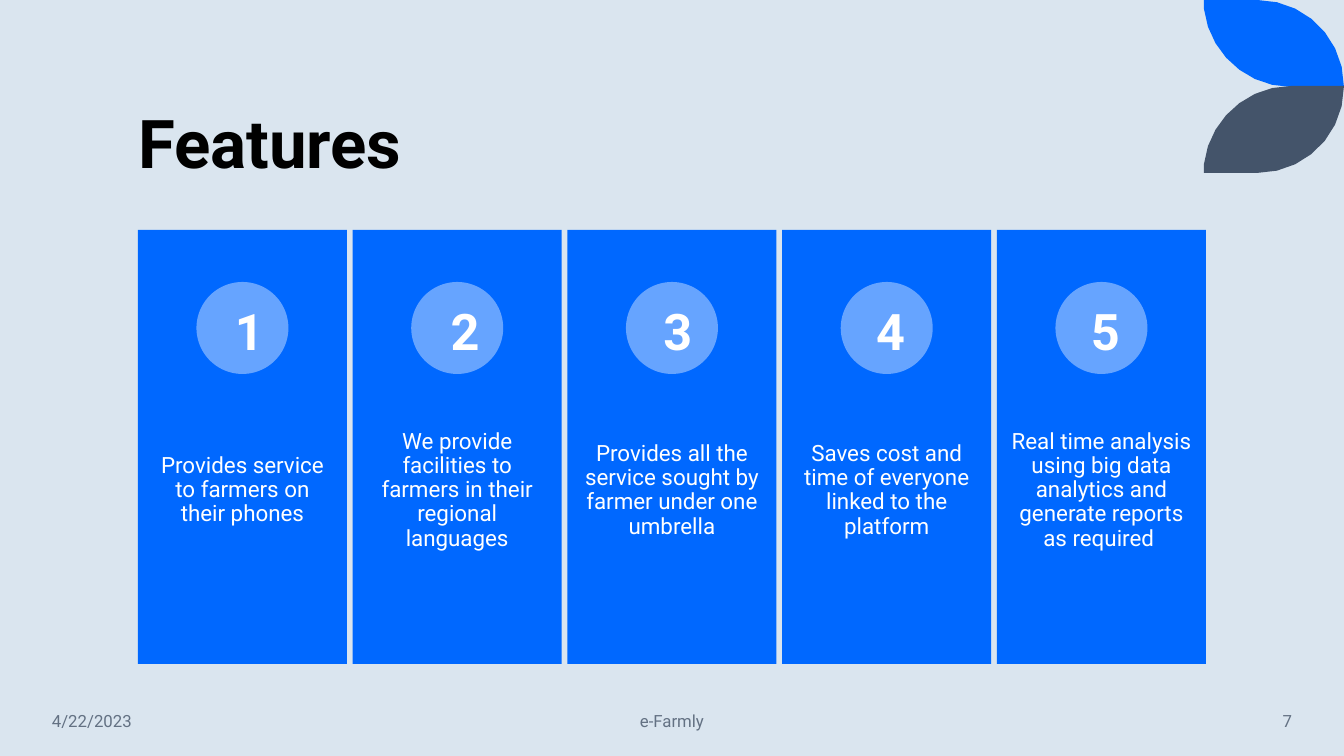
"""Build the Features slide with five numbered cards."""
import pptx
import pptx.util
import pptx.dml.color
import pptx.enum.shapes
import pptx.enum.text

TITLE = "Features"
CARDS = [
    ("1", 87, "Provides service to farmers on their phones"),
    ("2", 88, "We provide facilities to farmers in their regional languages"),
    ("3", 86, "Provides all the service sought by farmer under one umbrella"),
    ("4", 84, "Saves cost and time of everyone linked to the platform"),
    ("5", 84, "Real time analysis using big data analytics and generate reports as required "),
]
FOOTER = [
    ("4/22/2023", 42, 188, "LEFT"),
    ("e-Farmly", 445, 454, "CENTER"),
    ("7", 1119, 183, "RIGHT"),
]
COLORS = {
    "back": "DAE5EF", "blue": "0068FF", "slate": "44546A", "disc": "66A4FF",
    "white": "FFFFFF", "black": "000000", "grey": "637183",
}
FONT = "Roboto"
PX = 914400 / 100.8
LEFT, TOP, WIDE, HIGH, SPAN = 138, 230, 209, 434, 1068
STEP = (SPAN - WIDE) / (len(CARDS) - 1)
DISC = 92
LEAF_TOP = [(1257, 0), (1305, 0), (1344, 38), (1344, 87)]
LEAF_LOW = [(1291, 87), (1246, 87), (1209, 52), (1204, 9)]
SHAPE = pptx.enum.shapes.MSO_SHAPE
ALIGN = pptx.enum.text.PP_ALIGN
ANCHOR = pptx.enum.text.MSO_ANCHOR


def emu(*sizes):
    return [pptx.util.Emu(round(size * PX)) for size in sizes]


def color(name):
    return pptx.dml.color.RGBColor.from_string(COLORS[name])


def paint(shape, name):
    shape.shadow.inherit = False
    shape.fill.solid()
    shape.fill.fore_color.rgb = color(name)
    shape.line.fill.background()


def write(shape, text, size, tint, align, anchor, bold=False, space=1.0, inset=None):
    frame = shape.text_frame
    frame.word_wrap = True
    frame.auto_size = pptx.enum.text.MSO_AUTO_SIZE.NONE
    frame.vertical_anchor = anchor
    if inset:
        frame.margin_left, frame.margin_top, frame.margin_right, frame.margin_bottom = emu(*[inset] * 4)
    para = frame.paragraphs[0]
    para.alignment = align
    para.line_spacing = space
    run = para.add_run()
    run.text = text
    run.font.name = FONT
    run.font.size = pptx.util.Pt(size)
    run.font.bold = bold
    run.font.color.rgb = color(tint)


def curve(knots, count=7):
    dots = []
    for step in range(count + 1):
        t = step / count
        parts = ((1 - t) ** 3, 3 * t * (1 - t) ** 2, 3 * t * t * (1 - t), t ** 3)
        dots.append(tuple(sum(part * knot[axis] for part, knot in zip(parts, knots))
                          for axis in (0, 1)))
    return dots


def leaf(slide, tint, flip):
    dots = [(1204, 0)] + curve(LEAF_TOP) + curve(LEAF_LOW)
    dots = [emu(x, 173 - y if flip else y) for x, y in dots]
    form = slide.shapes.build_freeform(*dots[0], scale=1.0)
    form.add_line_segments(dots[1:], close=True)
    paint(form.convert_to_shape(), tint)


def main():
    deck = pptx.Presentation()
    deck.slide_width, deck.slide_height = emu(1344, 756)
    slide = deck.slides.add_slide(deck.slide_layouts[5])
    slide.background.fill.solid()
    slide.background.fill.fore_color.rgb = color("back")
    shapes = slide.shapes

    leaf(slide, "blue", False)
    leaf(slide, "slate", True)

    title = shapes.title
    title.left, title.top, title.width, title.height = emu(128, 42, 1077, 146)
    write(title, TITLE, 48, "black", ALIGN.LEFT, ANCHOR.BOTTOM, bold=True, space=0.9)

    for index, (digit, shift, text) in enumerate(CARDS):
        left = LEFT + index * STEP
        paint(shapes.add_shape(SHAPE.RECTANGLE, *emu(left, TOP, WIDE, HIGH)), "blue")
        body = shapes.add_textbox(*emu(left, 404, WIDE, 173))
        write(body, text, 16, "white", ALIGN.CENTER, ANCHOR.MIDDLE, space=0.9, inset=13)
        spot = emu(left + (WIDE - DISC) / 2, 282, DISC, DISC)
        paint(shapes.add_shape(SHAPE.OVAL, *spot), "disc")
        label = shapes.add_textbox(*emu(left + shift, 295, 38, 72))
        write(label, digit, 36, "white", ALIGN.CENTER, ANCHOR.TOP, bold=True)

    for text, left, width, side in FOOTER:
        note = shapes.add_textbox(*emu(left, 701, width, 40))
        write(note, text, 12, "grey", ALIGN[side], ANCHOR.MIDDLE)

    deck.save("out.pptx")


if __name__ == "__main__":
    main()
